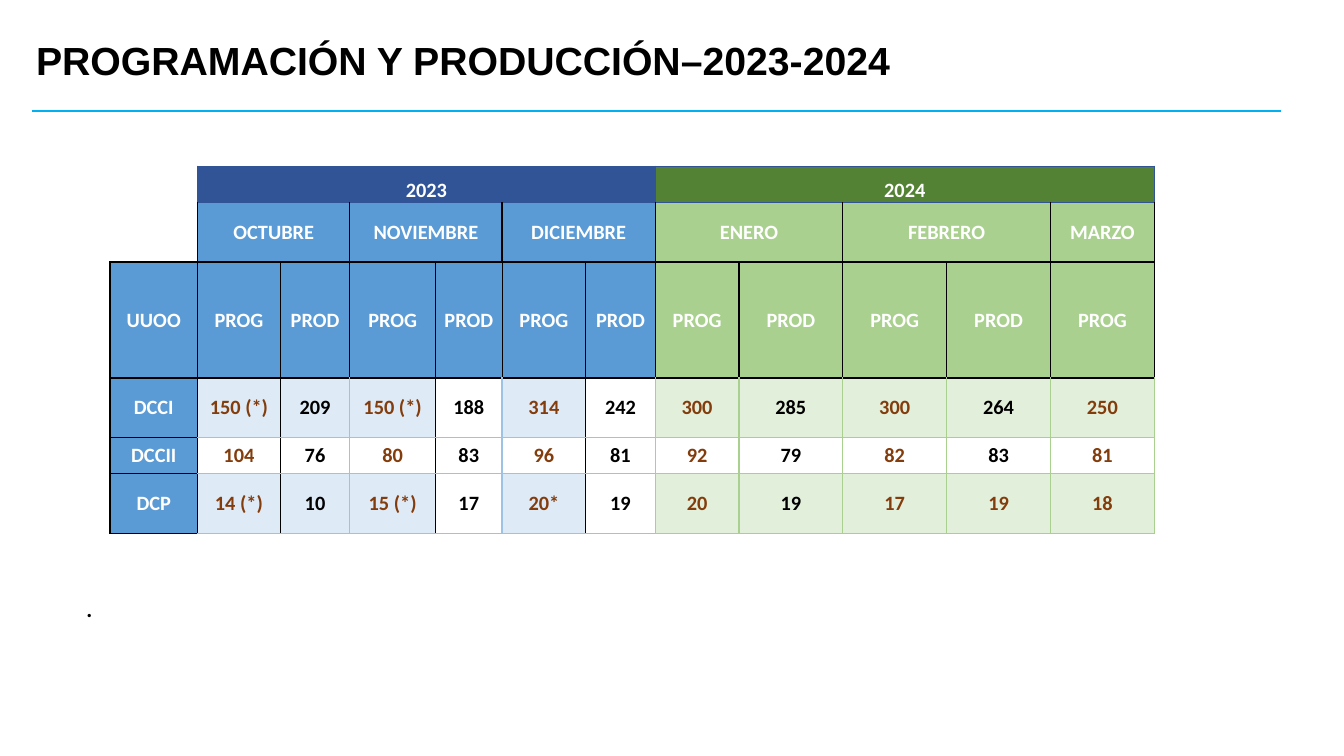
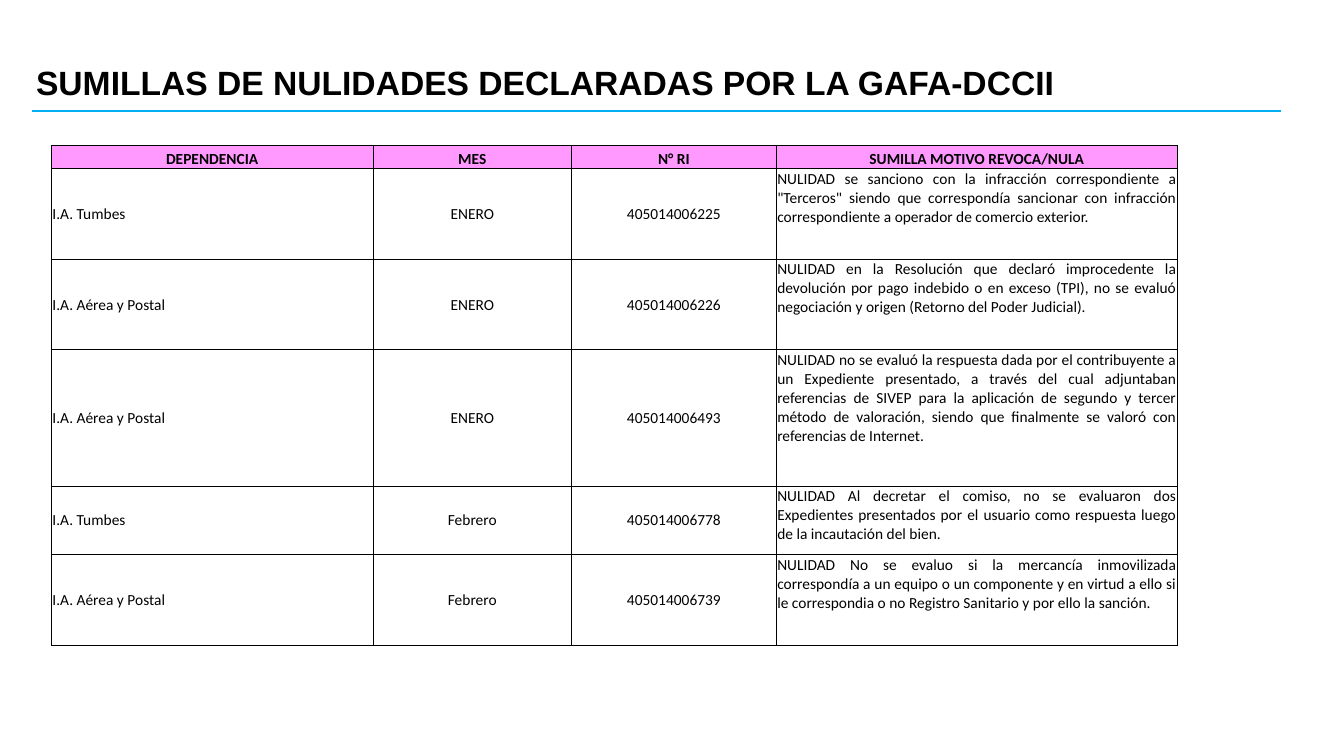
from dataclasses import dataclass
from typing import NamedTuple, Optional

from lxml.etree import SubElement
from pptx import Presentation
from pptx.dml.color import RGBColor
from pptx.enum.shapes import MSO_CONNECTOR
from pptx.enum.text import MSO_ANCHOR, PP_ALIGN
from pptx.oxml.ns import qn
from pptx.util import Inches, Pt

BLACK = RGBColor(0x00, 0x00, 0x00)
WHITE = RGBColor(0xFF, 0xFF, 0xFF)
CYAN = RGBColor(0x00, 0xB0, 0xF0)
NAVY = RGBColor(0x30, 0x54, 0x96)
BLUE = RGBColor(0x5B, 0x9B, 0xD5)
SKY = RGBColor(0x9C, 0xC2, 0xE5)
PALE_BLUE = RGBColor(0xDE, 0xEA, 0xF6)
FOREST = RGBColor(0x54, 0x82, 0x35)
GREEN = RGBColor(0xA9, 0xD0, 0x8E)
PALE_GREEN = RGBColor(0xE2, 0xEF, 0xDA)
BROWN = RGBColor(0x83, 0x3C, 0x0C)
PINK = RGBColor(0xFF, 0x99, 0xFF)


class Line(NamedTuple):
    color: RGBColor
    width: float = 1


class Borders(NamedTuple):
    left: Optional[Line]
    right: Optional[Line]
    top: Optional[Line]
    bottom: Optional[Line]


class Summary(NamedTuple):
    office: str
    month: str
    number: str
    reason: str


@dataclass(frozen=True)
class Header:
    text: str
    col: int
    span: int
    fill: RGBColor


SOLID = Line(BLACK)
THIN = Line(BLACK, 0.5)
NAVY_LINE = Line(NAVY)
SKY_LINE = Line(SKY)
GREEN_LINE = Line(GREEN)

YEARS = [Header("2023", 1, 6, NAVY), Header("2024", 7, 5, FOREST)]
MONTHS = [
    Header("OCTUBRE", 1, 2, BLUE),
    Header("NOVIEMBRE", 3, 2, BLUE),
    Header("DICIEMBRE", 5, 2, BLUE),
    Header("ENERO", 7, 2, GREEN),
    Header("FEBRERO", 9, 2, GREEN),
    Header("MARZO", 11, 1, GREEN),
]
UNITS = [
    ["DCCI", "150 (*)", "209", "150 (*)", "188", "314", "242", "300", "285", "300", "264", "250"],
    ["DCCII", "104", "76", "80", "83", "96", "81", "92", "79", "82", "83", "81"],
    ["DCP", "14 (*)", "10", "15 (*)", "17", "20*", "19", "20", "19", "17", "19", "18"],
]
FIRST_UNIT_ROW = 3
FIRST_2024_COL = 7
SHADED_2023_COLS = (1, 2, 3, 5)
HEADER_EDGES = [SOLID] * 2 + [THIN] * 5 + [SOLID] * 6
UNIT_EDGES = [SOLID, SOLID, THIN, SKY_LINE, THIN, SKY_LINE, THIN] + [GREEN_LINE] * 6

SUMMARIES = [
    Summary("I.A. Tumbes", "ENERO", "405014006225",
            "NULIDAD se sanciono con la infracción correspondiente a \"Terceros\" siendo que "
            "correspondía sancionar con infracción correspondiente a operador de comercio exterior."),
    Summary("I.A. Aérea y Postal", "ENERO", "405014006226",
            "NULIDAD en la Resolución que declaró improcedente la devolución por pago indebido "
            "o en exceso (TPI), no se evaluó negociación y origen (Retorno del Poder Judicial)."),
    Summary("I.A. Aérea y Postal", "ENERO", "405014006493",
            "NULIDAD no se evaluó la respuesta dada por el contribuyente a un Expediente "
            "presentado, a través del cual adjuntaban referencias de SIVEP para la aplicación de "
            "segundo y tercer método de valoración, siendo que finalmente se valoró con "
            "referencias de Internet."),
    Summary("I.A. Tumbes", "Febrero", "405014006778",
            "NULIDAD Al decretar el comiso, no se evaluaron dos Expedientes presentados por el "
            "usuario como respuesta luego de la incautación del bien."),
    Summary("I.A. Aérea y Postal", "Febrero", "405014006739",
            "NULIDAD No se evaluo si la mercancía inmovilizada correspondía a un equipo o un "
            "componente y en virtud a ello si le correspondia o no Registro Sanitario y por ello "
            "la sanción."),
]


def write(tf, text: str, *, size: float, font: str = "Calibri", color: RGBColor = BLACK,
          bold: bool = True, align=PP_ALIGN.LEFT, spacing: float = 1.0) -> None:
    p = tf.paragraphs[0]
    p.alignment = align
    p.line_spacing = spacing
    r = p.add_run()
    r.text = text
    r.font.name = font
    r.font.size = Pt(size)
    r.font.bold = bold
    r.font.color.rgb = color


def add_text(slide, text: str, left: float, top: float, width: float, height: float,
             anchor=MSO_ANCHOR.TOP, **fmt) -> None:
    tf = slide.shapes.add_textbox(
        Inches(left), Inches(top), Inches(width), Inches(height)).text_frame
    tf.word_wrap = True
    tf.vertical_anchor = anchor
    write(tf, text, **fmt)


def add_titled_slide(prs, title: str, top: float, height: float, size: float):
    slide = prs.slides.add_slide(prs.slide_layouts[6])
    rule = slide.shapes.add_connector(
        MSO_CONNECTOR.STRAIGHT, Inches(0.32), Inches(1.1), Inches(12.71), Inches(1.1))
    rule.line.color.rgb = CYAN
    rule.line.width = Pt(1.5)
    SubElement(rule._element.spPr, qn("a:effectLst"))
    add_text(slide, title, 0.26, top, 11.5, height, anchor=MSO_ANCHOR.MIDDLE,
             size=size, font="Arial", spacing=0.9)
    return slide


def add_table(slide, left: float, top: float, cols: list[float], rows: list[float]):
    table = slide.shapes.add_table(
        len(rows), len(cols), Inches(left), Inches(top),
        Inches(sum(cols)), Inches(sum(rows))).table
    table.first_row = False
    table.horz_banding = False
    for column, width in zip(table.columns, cols):
        column.width = Inches(width)
    for row, height in zip(table.rows, rows):
        row.height = Inches(height)
    return table


def format_cell(cell, borders: Borders, fill: Optional[RGBColor] = None,
                anchor=MSO_ANCHOR.MIDDLE, inset: float = 0) -> None:
    cell.margin_left = cell.margin_right = cell.margin_top = Inches(inset)
    cell.margin_bottom = 0
    cell.vertical_anchor = anchor
    tc_pr = cell._tc.get_or_add_tcPr()
    for tag, line in zip(("a:lnL", "a:lnR", "a:lnT", "a:lnB"), borders):
        if line:
            ln = SubElement(tc_pr, qn(tag), w=str(Pt(line.width)))
            SubElement(SubElement(ln, qn("a:solidFill")), qn("a:srgbClr"), val=str(line.color))
    if fill is None:
        cell.fill.background()
    else:
        cell.fill.solid()
        cell.fill.fore_color.rgb = fill


def write_count(cell, text: str, color: RGBColor = WHITE) -> None:
    write(cell.text_frame, text, size=14.5, color=color, align=PP_ALIGN.CENTER)


def add_header_row(table, row: int, headers: list[Header], borders: Borders, anchor) -> None:
    for header in headers:
        last = header.col + header.span - 1
        for col in range(header.col, last + 1):
            format_cell(table.cell(row, col), borders, header.fill, anchor)
        if header.span > 1:
            table.cell(row, header.col).merge(table.cell(row, last))
        write_count(table.cell(row, header.col), header.text)


def unit_fill(row: int, col: int) -> Optional[RGBColor]:
    if col == 0:
        return BLUE
    if row == 1:
        return None
    if col >= FIRST_2024_COL:
        return PALE_GREEN
    return PALE_BLUE if col in SHADED_2023_COLS else None


def unit_color(row: int, col: int) -> RGBColor:
    if col == 0:
        return WHITE
    return BROWN if col % 2 or (row, col) == (2, 10) else BLACK


def unit_borders(row: int, col: int) -> Borders:
    last = row == len(UNITS) - 1
    if col == 0:
        inner, bottom = THIN, SOLID if last else THIN
    else:
        inner = bottom = GREEN_LINE if col >= FIRST_2024_COL else SKY_LINE
    return Borders(UNIT_EDGES[col], UNIT_EDGES[col + 1], inner if row else SOLID, bottom)


def build_production(prs) -> None:
    slide = add_titled_slide(prs, "PROGRAMACIÓN Y PRODUCCIÓN–2023-2024", 0.27, 0.7, 28)
    add_text(slide, ".", 0.76, 5.86, 11.5, 0.37, size=16)
    table = add_table(
        slide, 1.09, 1.65,
        [0.87, 0.82, 0.69, 0.85, 0.66, 0.83, 0.69, 0.83] + [1.03] * 4,
        [0.36, 0.59, 1.15, 0.59, 0.36, 0.59])

    for row in range(2):
        format_cell(table.cell(row, 0), Borders(None, NAVY_LINE, None, SOLID))
    table.cell(0, 0).merge(table.cell(1, 0))
    add_header_row(table, 0, YEARS, Borders(*[NAVY_LINE] * 4), MSO_ANCHOR.BOTTOM)
    add_header_row(table, 1, MONTHS, Borders(SOLID, SOLID, NAVY_LINE, SOLID), MSO_ANCHOR.MIDDLE)

    for col, text in enumerate(["UUOO"] + ["PROG", "PROD"] * 5 + ["PROG"]):
        cell = table.cell(2, col)
        borders = Borders(HEADER_EDGES[col], HEADER_EDGES[col + 1], SOLID, SOLID)
        format_cell(cell, borders, GREEN if col >= FIRST_2024_COL else BLUE)
        write_count(cell, text)

    for row, unit in enumerate(UNITS):
        for col, text in enumerate(unit):
            cell = table.cell(FIRST_UNIT_ROW + row, col)
            format_cell(cell, unit_borders(row, col), unit_fill(row, col))
            write_count(cell, text, unit_color(row, col))


def build_summaries(prs) -> None:
    slide = add_titled_slide(
        prs, "SUMILLAS DE NULIDADES DECLARADAS POR LA GAFA-DCCII", 0.37, 0.93, 24)
    table = add_table(slide, 0.51, 1.44, [3.19, 1.97, 2.03, 3.98],
                      [0.23, 0.9, 0.9, 1.35, 0.68, 0.9])
    grid = Borders(*[THIN] * 4)

    for col, text in enumerate(["DEPENDENCIA", "MES", "N° RI", "SUMILLA MOTIVO REVOCA/NULA"]):
        cell = table.cell(0, col)
        format_cell(cell, grid, PINK, MSO_ANCHOR.BOTTOM, inset=0.01)
        write(cell.text_frame, text, size=11, align=PP_ALIGN.CENTER)

    aligns = [PP_ALIGN.LEFT, PP_ALIGN.CENTER, PP_ALIGN.CENTER, PP_ALIGN.JUSTIFY]
    anchors = [MSO_ANCHOR.MIDDLE] * 3 + [MSO_ANCHOR.TOP]
    for row, summary in enumerate(SUMMARIES, start=1):
        for col, (text, align, anchor) in enumerate(zip(summary, aligns, anchors)):
            cell = table.cell(row, col)
            format_cell(cell, grid, anchor=anchor, inset=0.01)
            write(cell.text_frame, text, size=11, bold=False, align=align)


def main() -> None:
    prs = Presentation()
    prs.slide_width = Inches(13.33)
    prs.slide_height = Inches(7.5)
    build_production(prs)
    build_summaries(prs)
    prs.save("out.pptx")


if __name__ == "__main__":
    main()
